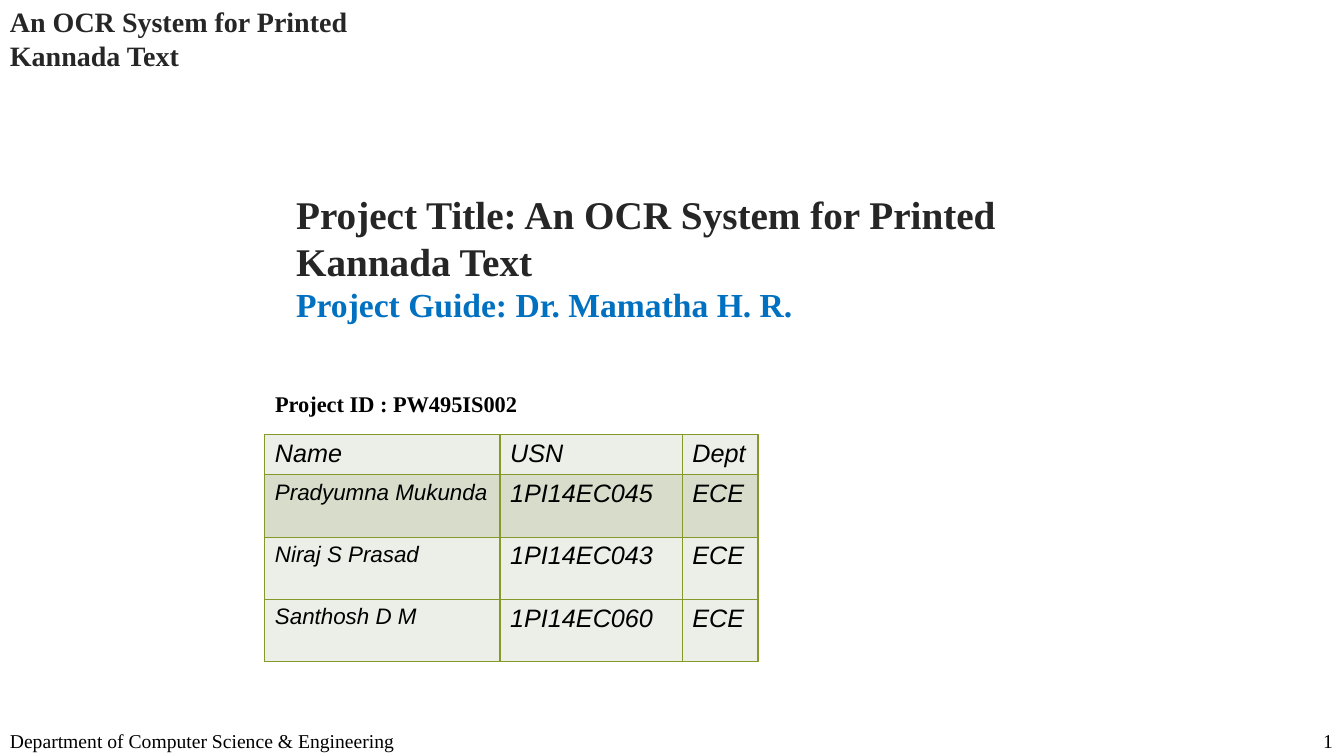
from lxml.etree import SubElement
from pptx import Presentation
from pptx.dml.color import RGBColor
from pptx.enum.text import MSO_ANCHOR as ANCHOR, MSO_AUTO_SIZE as AUTO, PP_ALIGN as ALIGN
from pptx.oxml.ns import qn
from pptx.util import Pt

BLACK = RGBColor(0x00, 0x00, 0x00)
CHARCOAL = RGBColor(0x26, 0x26, 0x26)
BLUE = RGBColor(0x00, 0x70, 0xC0)
PALE = RGBColor(0xEC, 0xEF, 0xE7)
SAGE = RGBColor(0xD8, 0xDD, 0xCB)
OLIVE = RGBColor(0x83, 0x99, 0x2A)
SERIF, SANS = "Times New Roman", "Arial"

STUDENTS = [
    ("Name", "USN", "Dept"),
    ("Pradyumna Mukunda", "1PI14EC045", "ECE"),
    ("Niraj S Prasad", "1PI14EC043", "ECE"),
    ("Santhosh D M", "1PI14EC060", "ECE"),
]
COL_WIDTHS = (168, 130.2, 54)
ROW_HEIGHTS = (28.8, 44.5, 44.5, 44.5)


def add_run(p, text, color=BLACK, **formats):
    """Append a run with the given font formats."""
    r = p.add_run()
    r.text = text
    r.font.color.rgb = color
    for name, value in formats.items():
        setattr(r.font, name, value)


def write_lines(tf, lines, anchor, align):
    """Fill a text frame with (text, format dict) lines in one paragraph."""
    tf.word_wrap = True
    tf.vertical_anchor = anchor
    p = tf.paragraphs[0]
    p.alignment = align
    for i, (text, formats) in enumerate(lines):
        if i:
            p.add_line_break()
        add_run(p, text, name=SERIF, **formats)


def add_text(s, box, lines, anchor=ANCHOR.MIDDLE, align=ALIGN.LEFT):
    """Add a text box."""
    tf = s.shapes.add_textbox(*map(Pt, box)).text_frame
    write_lines(tf, lines, anchor, align)


def add_label(s, box, text, **formats):
    """Add a bold label in an unfilled freeform that fits its text."""
    left, top, width, height = map(Pt, box)
    right, bottom = left + width, top + height
    outline = s.shapes.build_freeform(left, top)
    outline.add_line_segments([(right, top), (right, bottom), (left, bottom)])
    sp = outline.convert_to_shape()
    sp.shadow.inherit = False
    sp.fill.background()
    sp.line.fill.background()
    write_lines(sp.text_frame, [(text, {"bold": True, **formats})], ANCHOR.TOP, ALIGN.LEFT)
    sp.text_frame.auto_size = AUTO.SHAPE_TO_FIT_TEXT


def add_borders(cell):
    """Draw an olive line on the four sides of a cell."""
    props = cell._tc.get_or_add_tcPr()
    for i, side in enumerate(("lnL", "lnR", "lnT", "lnB")):
        line = props.makeelement(qn(f"a:{side}"), {"w": str(Pt(0.96))})
        fill = SubElement(line, qn("a:solidFill"))
        SubElement(fill, qn("a:srgbClr"), val=str(OLIVE))
        props.insert(i, line)


def fill_cell(cell, text, size, color):
    """Set the text, margins, fill and borders of a cell."""
    margins = {"left": 7.2, "top": 4.6, "right": 7.2, "bottom": 3.6}
    for side, value in margins.items():
        setattr(cell, f"margin_{side}", Pt(value))
    cell.fill.solid()
    cell.fill.fore_color.rgb = color
    add_borders(cell)
    p = cell.text_frame.paragraphs[0]
    p.line_spacing = 0.94
    add_run(p, text, name=SANS, size=Pt(size), italic=True)


def add_student_table(s, left, top):
    """Add the table of students."""
    size = (sum(COL_WIDTHS), sum(ROW_HEIGHTS))
    table = s.shapes.add_table(
        len(STUDENTS), len(COL_WIDTHS), Pt(left), Pt(top), *map(Pt, size)
    ).table
    for col, width in zip(table.columns, COL_WIDTHS):
        col.width = Pt(width)
    for i, (row, height) in enumerate(zip(table.rows, ROW_HEIGHTS)):
        row.height = Pt(height)
        for j, text in enumerate(STUDENTS[i]):
            size = 16 if i and j == 0 else 18
            fill_cell(table.cell(i, j), text, size, SAGE if i == 1 else PALE)


def main():
    """Build the title slide and save it."""
    prs = Presentation()
    prs.slide_width, prs.slide_height = Pt(960), Pt(540)
    s = prs.slides.add_slide(prs.slide_layouts[6])
    title = "An OCR System for Printed Kannada Text"
    footer = {"size": Pt(14)}

    add_text(s, (204.5, 147.4, 593.3, 87.8), [
        (f"Project Title: {title}", {"size": Pt(28), "color": CHARCOAL, "bold": True}),
        ("Project Guide: Dr. Mamatha H. R.", {"size": Pt(24), "color": BLUE, "bold": True}),
    ], ANCHOR.BOTTOM)
    add_student_table(s, 189.2, 310.4)
    add_text(s, (0, 517.7, 292.3, 22.3),
             [("Department of Computer Science & Engineering", footer)])
    add_text(s, (916, 517.7, 43.2, 22.3), [("1", footer)], align=ALIGN.RIGHT)
    add_label(s, (0, 0, 275.8, 55.4), title, size=Pt(20), color=CHARCOAL)
    add_label(s, (189.4, 275, 350.6, 26.6), "Project ID : PW495IS002", size=Pt(16))
    prs.save("out.pptx")


if __name__ == "__main__":
    main()
